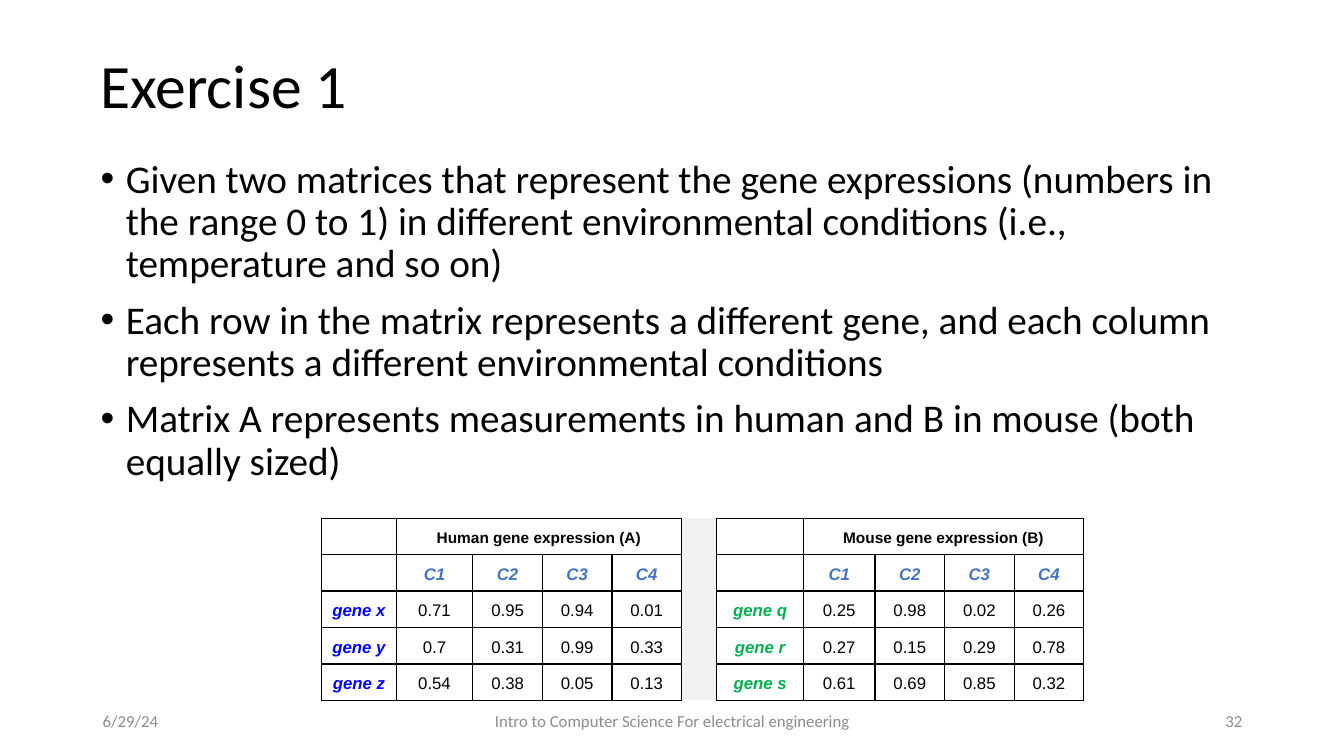
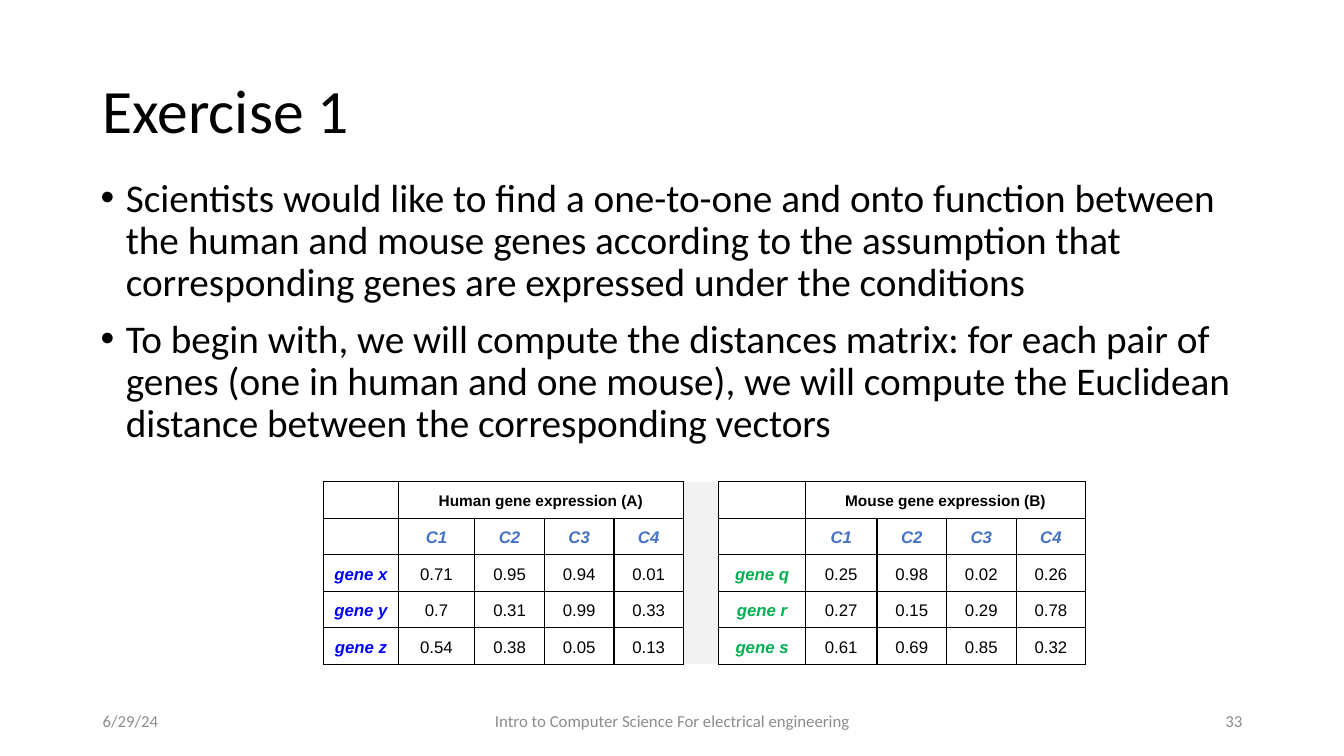
"""Build two slides of an exercise on comparing gene expression matrices."""
from dataclasses import dataclass

from lxml.etree import SubElement
from pptx import Presentation
from pptx.dml.color import RGBColor
from pptx.enum.text import MSO_ANCHOR as Anchor, PP_ALIGN as Align
from pptx.oxml.ns import qn
from pptx.util import Inches, Pt

BLACK, FOOTER_GRAY, GAP_GRAY = "000000", "8C8C8C", "F2F2F2"
CONDITION_BLUE, HUMAN_BLUE, MOUSE_GREEN = "4472C4", "0000FF", "00B050"
CONDITIONS = ["C1", "C2", "C3", "C4"]
COLUMN_WIDTHS = [0.74, 0.76, 0.69, 0.69, 0.69, 0.35, 0.86, 0.71, 0.69, 0.69, 0.69]
ROW_COUNT, TABLE_HEIGHT, GAP_COLUMN = 5, 1.81, 5
BLANK_LAYOUT = 6


@dataclass(frozen=True)
class TextStyle:
    size: float
    color: str = BLACK
    font: str = "Calibri"
    bold: bool = False
    italic: bool = False
    align: Align = Align.LEFT
    anchor: Anchor = Anchor.MIDDLE
    line_spacing: float = 1.0
    space_before: float = 0


@dataclass(frozen=True)
class GeneMatrix:
    heading: str
    gene_color: str
    first_column: int
    genes: dict[str, list[str]]


@dataclass(frozen=True)
class Footer:
    text: str
    left: float
    width: float
    align: Align


@dataclass(frozen=True)
class ExerciseSlide:
    number: str
    title_at: tuple[float, float]
    body_top: float
    table_at: tuple[float, float]
    bullets: list[str]


TITLE = TextStyle(44, line_spacing=0.9)
BODY = TextStyle(28, anchor=Anchor.TOP, line_spacing=0.9, space_before=10)

MATRICES = [
    GeneMatrix("Human gene expression (A)", HUMAN_BLUE, 0, {
        "gene x": ["0.71", "0.95", "0.94", "0.01"],
        "gene y": ["0.7", "0.31", "0.99", "0.33"],
        "gene z": ["0.54", "0.38", "0.05", "0.13"],
    }),
    GeneMatrix("Mouse gene expression (B)", MOUSE_GREEN, GAP_COLUMN + 1, {
        "gene q": ["0.25", "0.98", "0.02", "0.26"],
        "gene r": ["0.27", "0.15", "0.29", "0.78"],
        "gene s": ["0.61", "0.69", "0.85", "0.32"],
    }),
]

SLIDES = [
    ExerciseSlide("32", (0.9, 0.15), 1.53, (3.19, 5.14), [
        "Given two matrices that represent the gene expressions (numbers in the range 0 to 1) "
        "in different environmental conditions (i.e., temperature and so on)",
        "Each row in the matrix represents a different gene, and each column represents "
        "a different environmental conditions",
        "Matrix A represents measurements in human and B in mouse (both equally sized)",
    ]),
    ExerciseSlide("33", (0.92, 0.4), 1.72, (3.21, 4.78), [
        "Scientists would like to find a one-to-one and onto function between the human and "
        "mouse genes according to the assumption that corresponding genes are expressed "
        "under the conditions",
        "To begin with, we will compute the distances matrix: for each pair of genes (one in "
        "human and one mouse), we will compute the Euclidean distance between the "
        "corresponding vectors",
    ]),
]


def rgb(color: str) -> RGBColor:
    return RGBColor.from_string(color)


def format_paragraph(paragraph, style: TextStyle) -> None:
    paragraph.alignment = style.align
    paragraph.line_spacing = style.line_spacing
    paragraph.space_before = Pt(style.space_before)
    for run in paragraph.runs:
        font = run.font
        font.name, font.size = style.font, Pt(style.size)
        font.bold, font.italic = style.bold, style.italic
        font.color.rgb = rgb(style.color)


def add_text(slide, text: str, left: float, top: float, width: float, height: float,
             style: TextStyle):
    box = slide.shapes.add_textbox(Inches(left), Inches(top), Inches(width), Inches(height))
    frame = box.text_frame
    frame.word_wrap = True
    frame.vertical_anchor = style.anchor
    frame.text = text
    for paragraph in frame.paragraphs:
        format_paragraph(paragraph, style)
    return frame


def add_bullet(paragraph) -> None:
    properties = paragraph._p.get_or_add_pPr()
    properties.set("marL", str(Inches(0.25)))
    properties.set("indent", str(-Inches(0.25)))
    SubElement(properties, qn("a:buFont"), typeface="Arial")
    SubElement(properties, qn("a:buChar"), char="•")


def set_borders(cell, hidden_sides: str = "") -> None:
    properties = cell._tc.get_or_add_tcPr()
    for side in "LRTB":
        line = SubElement(properties, qn(f"a:ln{side}"), w=str(Pt(1)))
        if side in hidden_sides:
            SubElement(line, qn("a:noFill"))
        else:
            fill = SubElement(line, qn("a:solidFill"))
            SubElement(fill, qn("a:srgbClr"), val=BLACK)


def write_cell(cell, text: str, size: float = 12, color: str = BLACK,
               bold: bool = False, italic: bool = False) -> None:
    cell.text_frame.text = text
    style = TextStyle(size, color, "Arial", bold, italic, Align.CENTER, line_spacing=1.15)
    format_paragraph(cell.text_frame.paragraphs[0], style)


def fill_matrix(table, matrix: GeneMatrix) -> None:
    first = matrix.first_column
    heading = table.cell(0, first + 1)
    heading.merge(table.cell(0, first + len(CONDITIONS)))
    write_cell(heading, matrix.heading, size=11, bold=True)
    for column, condition in enumerate(CONDITIONS, first + 1):
        write_cell(table.cell(1, column), condition, color=CONDITION_BLUE, bold=True, italic=True)
    for row, (gene, values) in enumerate(matrix.genes.items(), 2):
        write_cell(table.cell(row, first), gene, color=matrix.gene_color, bold=True, italic=True)
        for column, value in enumerate(values, first + 1):
            write_cell(table.cell(row, column), value)


def add_expression_table(slide, left: float, top: float) -> None:
    table = slide.shapes.add_table(
        ROW_COUNT, len(COLUMN_WIDTHS), Inches(left), Inches(top),
        Inches(sum(COLUMN_WIDTHS)), Inches(TABLE_HEIGHT)).table
    table.first_row = table.horz_banding = False
    for column, width in zip(table.columns, COLUMN_WIDTHS):
        column.width = Inches(width)
    for row in table.rows:
        for index, cell in enumerate(row.cells):
            cell.margin_left = cell.margin_right = Inches(0.07)
            cell.margin_top = cell.margin_bottom = 0
            cell.vertical_anchor = Anchor.MIDDLE
            if index == GAP_COLUMN:
                set_borders(cell, hidden_sides="TB")
                cell.fill.solid()
                cell.fill.fore_color.rgb = rgb(GAP_GRAY)
            else:
                set_borders(cell)
                cell.fill.background()
    for matrix in MATRICES:
        fill_matrix(table, matrix)


def add_footers(slide, number: str) -> None:
    footers = [
        Footer("6/29/24", 0.92, 3, Align.LEFT),
        Footer("Intro to Computer Science For electrical engineering", 4.42, 4.5, Align.CENTER),
        Footer(number, 9.42, 3, Align.RIGHT),
    ]
    for footer in footers:
        style = TextStyle(12, FOOTER_GRAY, align=footer.align)
        add_text(slide, footer.text, footer.left, 6.95, footer.width, 0.4, style)


def add_exercise_slide(presentation, content: ExerciseSlide) -> None:
    slide = presentation.slides.add_slide(presentation.slide_layouts[BLANK_LAYOUT])
    add_text(slide, "Exercise 1", *content.title_at, 11.5, 1.45, TITLE)
    body = add_text(slide, "\n".join(content.bullets), 0.9, content.body_top, 11.5, 4.76, BODY)
    for paragraph in body.paragraphs:
        add_bullet(paragraph)
    add_footers(slide, content.number)
    add_expression_table(slide, *content.table_at)


def main() -> None:
    presentation = Presentation()
    presentation.slide_width, presentation.slide_height = Inches(13.33), Inches(7.5)
    for content in SLIDES:
        add_exercise_slide(presentation, content)
    presentation.save("out.pptx")


if __name__ == "__main__":
    main()
